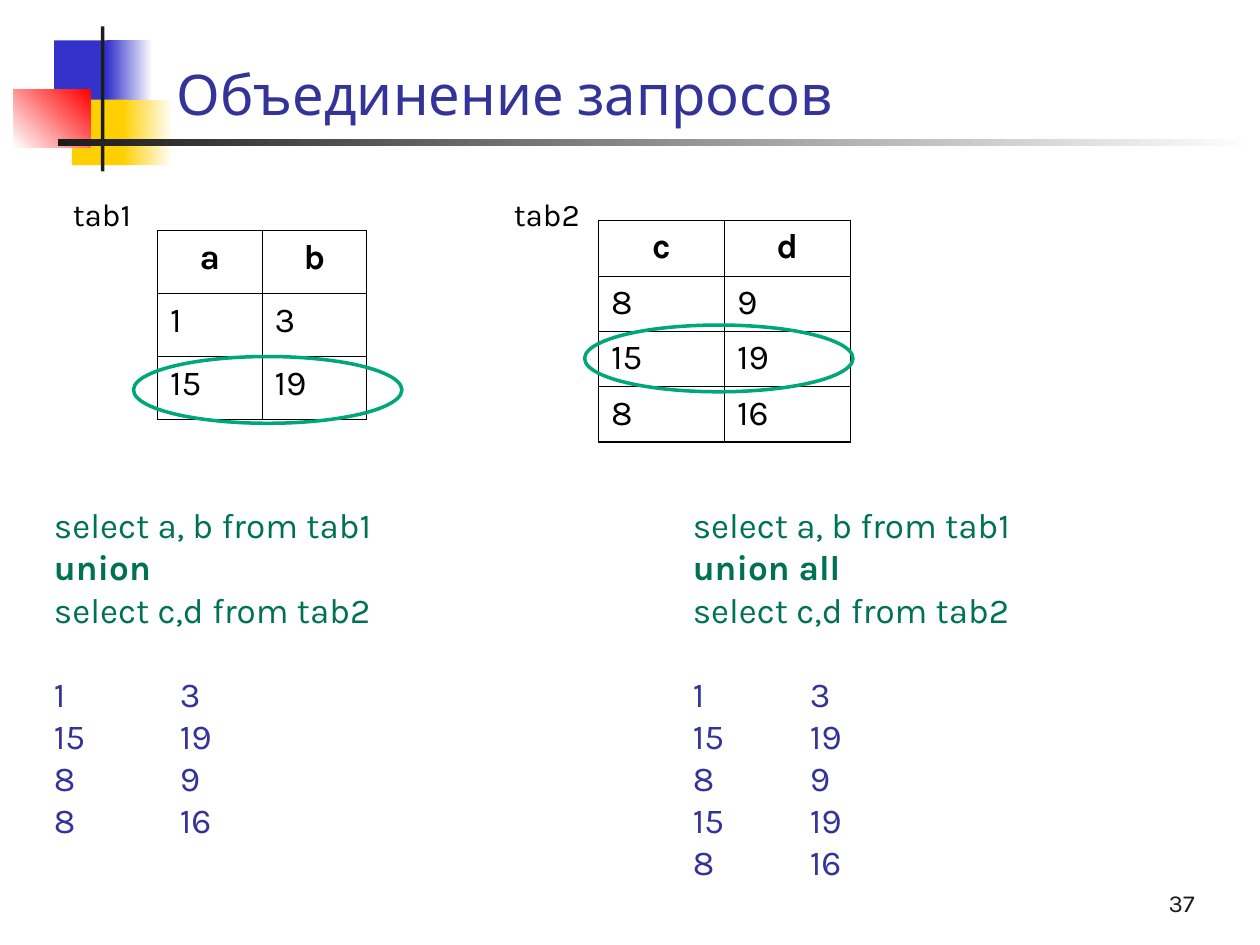
from lxml import etree
from pptx import Presentation
from pptx import util as u
from pptx.dml.color import RGBColor
from pptx.enum import shapes, text
from pptx.oxml.ns import qn

Inches, Pt = u.Inches, u.Pt
FONT = "Karla"
HUES = {"blue": "3333CC", "gold": "FFCF01", "red": "FF0000", "white": "FFFFFF",
        "dark": "1C1C1C", "title": "333399", "query": "007254",
        "ring": "00A77A", "black": "000000"}


def hue(name):
    return RGBColor.from_string(HUES[name])


def write(para, words, size, color, bold=False):
    run = para.add_run()
    run.text = words
    form = {"name": FONT, "size": Pt(size), "bold": bold}
    for key, val in form.items():
        setattr(run.font, key, val)
    run.font.color.rgb = hue(color)


deck = Presentation()
deck.slide_width, deck.slide_height = Inches(10), Inches(7.5)
slide = deck.slides.add_slide(deck.slide_layouts[5])
items = slide.shapes

# Corner blocks and rule: box, colours from start to end, angle
decor = [
    ((0.43, 0.32, 0.48, 0.52), ["blue"], 0),
    ((0.85, 0.32, 0.36, 0.52), ["blue", "white"], 0),
    ((0.57, 0.79, 0.46, 0.52), ["gold"], 0),
    ((0.97, 0.79, 0.4, 0.52), ["gold", "white"], 0),
    ((0.11, 0.71, 0.61, 0.46), ["white", "red"], 45),
    ((0.8, 0.21, 0.03, 1.15), ["dark"], 0),
    ((0.46, 1.1, 9.51, 0.06), ["dark", "white"], 0),
]
for box, tones, angle in decor:
    block = items.add_shape(shapes.MSO_SHAPE.RECTANGLE, *map(Inches, box))
    block.shadow.inherit = False
    block.line.fill.background()
    if len(tones) == 1:
        block.fill.solid()
        block.fill.fore_color.rgb = hue(tones[0])
    else:
        block.fill.gradient()
        block.fill.gradient_angle = angle
        for stop, tone in zip(block.fill.gradient_stops, tones):
            stop.color.rgb = hue(tone)

# Title
title = items.title
place = {"left": 1.3, "top": 0.13, "width": 8.5, "height": 0.93}
for key, val in place.items():
    setattr(title, key, Inches(val))
title.text_frame.vertical_anchor = text.MSO_ANCHOR.BOTTOM
head = title.text_frame.paragraphs[0]
head.alignment = text.PP_ALIGN.LEFT
write(head, "Объединение запросов", 32, "title")

# Queries and their results, set in columns by tab stops
body = items.add_textbox(*map(Inches, (0.33, 1.5, 9, 5.55))).text_frame
body.word_wrap = True
body.vertical_anchor = text.MSO_ANCHOR.BOTTOM
wide, full = [5.07], [1, 5.07, 6]
lines = [
    ("select a, b from tab1\tselect a, b from tab1", wide, "query"),
    ("union\tunion all", wide, "query"),
    ("select c,d from tab2\tselect c,d from tab2", wide, "query"),
    ("1\t3\t1\t3", full, "title"),
    ("15\t19\t15\t19", full, "title"),
    ("8\t9\t8\t9", full, "title"),
    ("8\t16\t15\t19", full, "title"),
    ("\t\t8\t16", full, "title"),
]
for num, (words, stops, tone) in enumerate(lines):
    para = body.paragraphs[0] if num == 0 else body.add_paragraph()
    tabs = etree.SubElement(para._p.get_or_add_pPr(), qn("a:tabLst"))
    for stop in stops:
        etree.SubElement(tabs, qn("a:tab"), pos=str(Inches(stop)), algn="l")
    if num == 3:
        para.space_before = Pt(24)
    write(para, words, 20, tone, bold=words.startswith("union"))

# Source tables: left, top, column width, row height, rows
tables = [
    (1.25, 1.83, 0.83, 0.5, [("a", "b"), ("1", "3"), ("15", "19")]),
    (4.75, 1.75, 1, 0.44, [("c", "d"), ("8", "9"), ("15", "19"), ("8", "16")]),
]
for left, top, width, height, rows in tables:
    last = len(rows) - 1
    grid = items.add_table(len(rows), 2, Inches(left), Inches(top),
                           Inches(2 * width), Inches(height * len(rows))).table
    grid.first_row = grid.horz_banding = False
    for r, row in enumerate(rows):
        for c, words in enumerate(row):
            cell = grid.cell(r, c)
            para = cell.text_frame.paragraphs[0]
            if r == 0:
                para.alignment = text.PP_ALIGN.CENTER
            write(para, words, 20, "black", bold=r == 0)
            # Thick outer edges, thin inner ones; borders precede the fill
            edges = {"L": c == 0, "R": c == 1, "T": r == 0, "B": r == last}
            props = cell._tc.get_or_add_tcPr()
            for side, outer in edges.items():
                edge = etree.SubElement(props, qn("a:ln" + side),
                                        w=str(Pt(1.08 if outer else 0.45)))
                fill = etree.SubElement(edge, qn("a:solidFill"))
                etree.SubElement(fill, qn("a:srgbClr"), val=HUES["black"])
            cell.fill.background()

# Table names and page number
labels = [
    ("tab1", (0.48, 1.5, 0.77, 0.4), 18, "black", "LEFT", "TOP"),
    ("tab2", (3.98, 1.5, 0.77, 0.4), 18, "black", "LEFT", "TOP"),
    ("37", (7.5, 6.83, 2.08, 0.5), 14, "dark", "RIGHT", "BOTTOM"),
]
for words, box, size, tone, side, anchor in labels:
    frame = items.add_textbox(*map(Inches, box)).text_frame
    frame.word_wrap = True
    frame.vertical_anchor = text.MSO_ANCHOR[anchor]
    frame.paragraphs[0].alignment = text.PP_ALIGN[side]
    write(frame.paragraphs[0], words, size, tone)

# Rings around the shared row
for left, top in [(4.64, 2.58), (1.06, 2.83)]:
    ring = items.add_shape(shapes.MSO_SHAPE.OVAL, Inches(left), Inches(top),
                           Inches(2.13), Inches(0.53))
    ring.shadow.inherit = False
    ring.fill.background()
    ring.line.color.rgb = hue("ring")
    ring.line.width = Pt(2)

deck.save("out.pptx")
